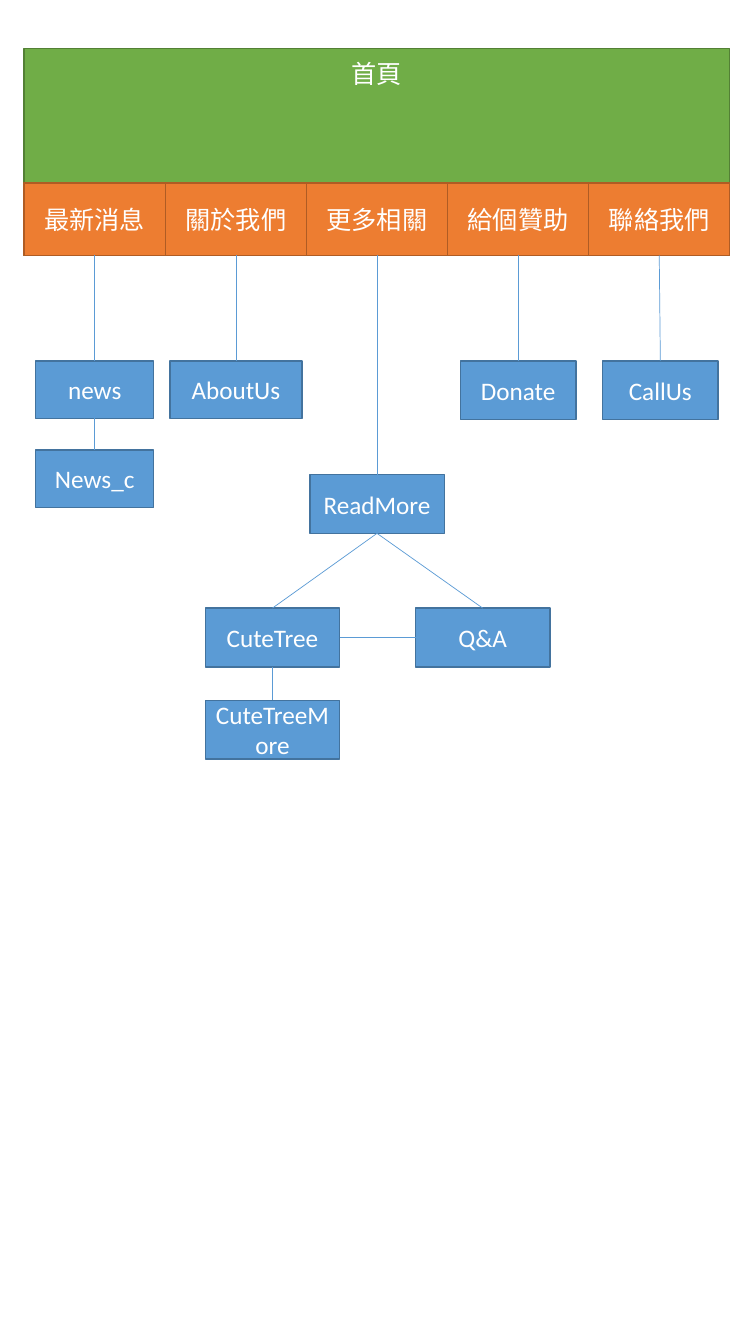
"""Draw a website map: home page, five menu tabs and the pages below them."""
from typing import NamedTuple

from lxml.etree import SubElement
from pptx import Presentation
from pptx.dml.color import RGBColor
from pptx.enum.shapes import MSO_CONNECTOR as Connector, MSO_SHAPE as Shape
from pptx.enum.text import MSO_ANCHOR as Anchor, PP_ALIGN as Align
from pptx.oxml.ns import qn
from pptx.shapes.autoshape import Shape as AutoShape
from pptx.slide import Slide
from pptx.util import Pt

COLORS = {
    "home": "70AD47", "home_edge": "538035",
    "tab": "ED7D31", "tab_edge": "AF5C24",
    "page": "5B9BD5", "page_edge": "43739E",
    "link": "5B9BD5", "text": "FFFFFF",
}
FONT_FORMAT = {"name": "Calibri", "size": Pt(18)}
HOME_FRAME = {"vertical_anchor": Anchor.TOP, "margin_top": Pt(7), "word_wrap": True}
BOX_FRAME = {"vertical_anchor": Anchor.MIDDLE, "word_wrap": True}

MENU_LEFT, MENU_TOP, TAB_WIDTH, TAB_HEIGHT = 17.3, 130.8, 100.8, 51.6
HOME_TOP = 34.6
TAB_LABELS = ["最新消息", "關於我們", "更多相關", "給個贊助", "聯絡我們"]
TOP, LEFT, BOTTOM, RIGHT = range(4)


class Box(NamedTuple):
    """A labelled rectangle placed by its horizontal centre and top."""

    label: str
    center: float
    top: float
    width: float
    height: float
    role: str = "page"


class Link(NamedTuple):
    """A straight line between the sides of two boxes."""

    start: str
    end: str
    start_side: int = BOTTOM
    end_side: int = TOP


TABS = [
    Box(label, MENU_LEFT + (column + 0.5) * TAB_WIDTH, MENU_TOP, TAB_WIDTH, TAB_HEIGHT, "tab")
    for column, label in enumerate(TAB_LABELS)
]
HOME = Box("首頁", TABS[2].center, HOME_TOP, TAB_WIDTH * len(TABS),
           MENU_TOP + TAB_HEIGHT - HOME_TOP, "home")
PAGES = [
    Box("news", 67.7, 257.9, 84.2, 41),
    Box("News_c", 67.7, 321.6, 84.2, 41),
    Box("AboutUs", 168.5, 257.9, 94.3, 41),
    Box("ReadMore", 269.3, 339, 96, 42),
    Box("CuteTree", 194.6, 434.4, 96, 42),
    Box("Q&A", 344.8, 434.4, 96, 42),
    Box("CuteTreeMore", 194.6, 500.2, 96, 42),
    Box("Donate", 370.1, 257.8, 82.6, 42),
    Box("CallUs", 471.7, 257.8, 82.6, 42),
]
LINKS = [
    Link("最新消息", "news"),
    Link("news", "News_c"),
    Link("關於我們", "AboutUs"),
    Link("更多相關", "ReadMore"),
    Link("ReadMore", "CuteTree"),
    Link("ReadMore", "Q&A"),
    Link("CuteTree", "Q&A", RIGHT, LEFT),
    Link("CuteTree", "CuteTreeMore"),
    Link("給個贊助", "Donate"),
    Link("聯絡我們", "CallUs"),
]


def color(role: str) -> RGBColor:
    """Return the colour of a role."""
    return RGBColor.from_string(COLORS[role])


def apply_format(target: object, values: dict) -> None:
    """Set every attribute in the format values."""
    for attribute, value in values.items():
        setattr(target, attribute, value)


def draw_box(slide: Slide, box: Box) -> AutoShape:
    """Draw a box with its label."""
    rectangle = slide.shapes.add_shape(
        Shape.RECTANGLE, Pt(box.center - box.width / 2), Pt(box.top),
        Pt(box.width), Pt(box.height))
    rectangle.shadow.inherit = False
    rectangle.fill.solid()
    rectangle.fill.fore_color.rgb = color(box.role)
    rectangle.line.color.rgb = color(f"{box.role}_edge")
    rectangle.line.width = Pt(1)
    frame = rectangle.text_frame
    apply_format(frame, HOME_FRAME if box.role == "home" else BOX_FRAME)
    paragraph = frame.paragraphs[0]
    paragraph.alignment = Align.CENTER
    label = paragraph.add_run()
    label.text = box.label
    apply_format(label.font, FONT_FORMAT)
    label.font.color.rgb = color("text")
    return rectangle


def draw_link(slide: Slide, link: Link, boxes: dict[str, AutoShape]) -> None:
    """Join two boxes with a thin line."""
    line = slide.shapes.add_connector(Connector.STRAIGHT, 0, 0, 0, 0)
    line.begin_connect(boxes[link.start], link.start_side)
    line.end_connect(boxes[link.end], link.end_side)
    line.line.color.rgb = color("link")
    line.line.width = Pt(0.5)
    SubElement(line._element.spPr, qn("a:effectLst"))


def main() -> None:
    """Build and save the site map."""
    deck = Presentation()
    deck.slide_width, deck.slide_height = Pt(540), Pt(960)
    slide = deck.slides.add_slide(deck.slide_layouts[6])
    boxes = {box.label: draw_box(slide, box) for box in [HOME, *TABS, *PAGES]}
    for link in LINKS:
        draw_link(slide, link, boxes)
    deck.save("out.pptx")


if __name__ == "__main__":
    main()
